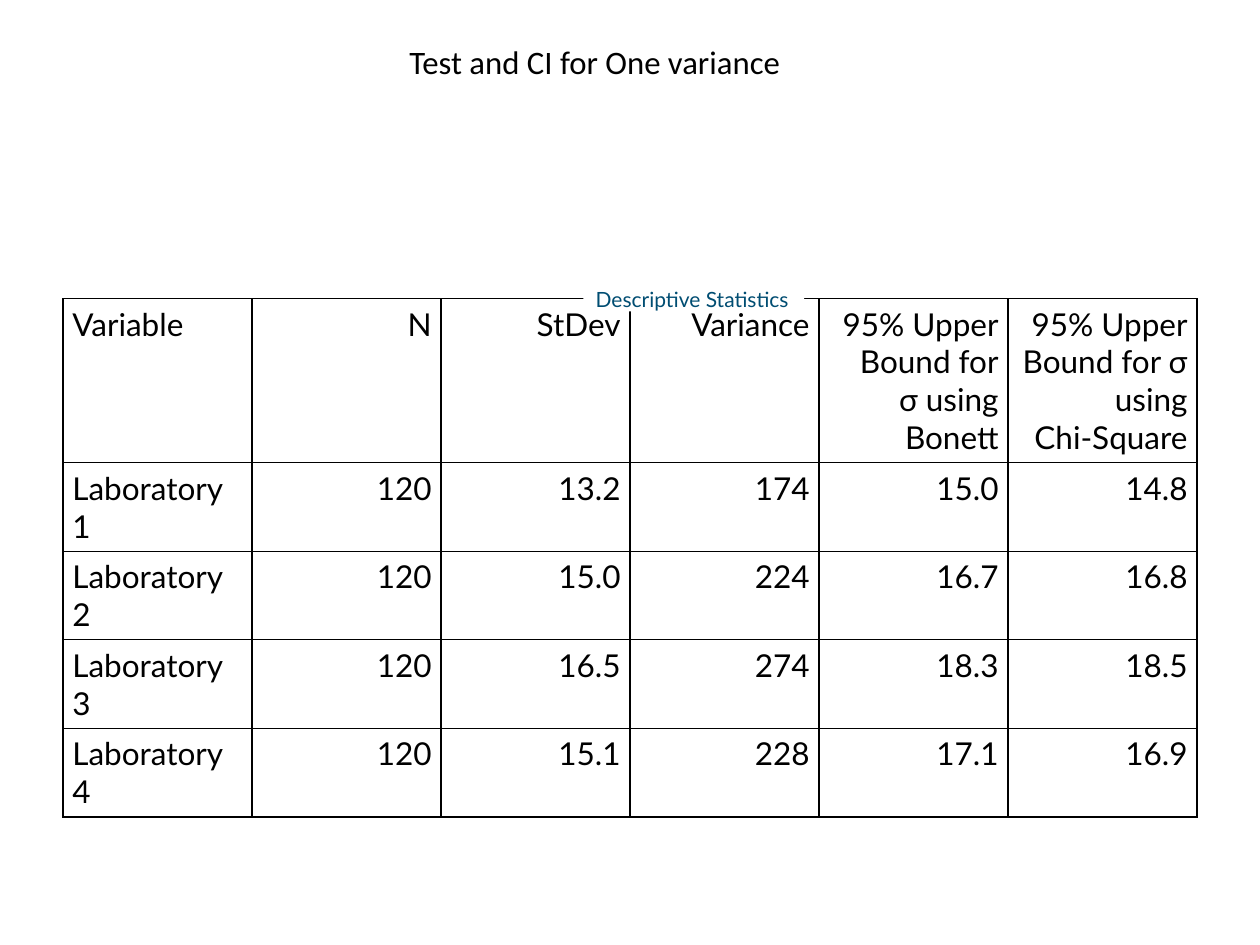
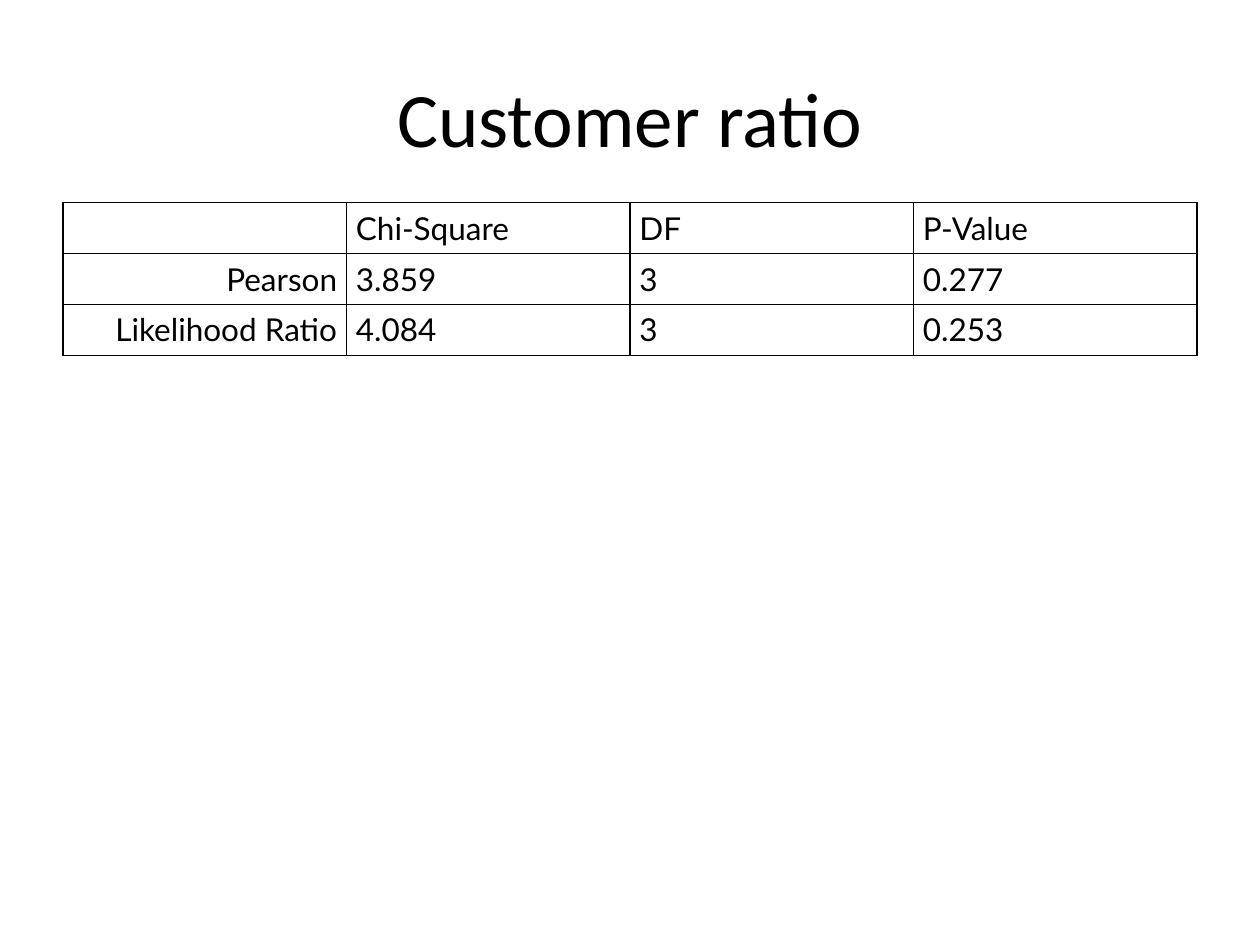
from lxml.etree import SubElement
from pptx import Presentation
from pptx.dml.color import RGBColor
from pptx.enum.text import MSO_ANCHOR, MSO_AUTO_SIZE, PP_ALIGN
from pptx.oxml.ns import qn
from pptx.util import Cm, Pt

COLORS = {"ink": "000000", "paper": "FFFFFF", "label": "004D72"}
LEFT, RIGHT, MID = PP_ALIGN.LEFT, PP_ALIGN.RIGHT, PP_ALIGN.CENTER
EDGE, WIDTH = Cm(1.27), Cm(22.86)


class Deck:
    head, body = "Calibri", "Lato"

    def __init__(self):
        self.show = Presentation()
        self.show.slide_width, self.show.slide_height = Cm(25.4), Cm(19.05)
        self.slide = None

    def color(self, name):
        return RGBColor.from_string(COLORS[name])

    def style(self, para, size, face, tone="ink", align=LEFT):
        para.alignment = align
        font = para.font
        font.size, font.name, font.bold = Pt(size), face, False
        font.color.rgb = self.color(tone)

    def page(self, title, size, width, height, space=1.0):
        self.slide = self.show.slides.add_slide(self.show.slide_layouts[5])
        box = self.slide.shapes.title
        box.left, box.top, box.width, box.height = EDGE, Cm(0.76), width, height
        frame = box.text_frame
        frame.text = title
        frame.auto_size = MSO_AUTO_SIZE.NONE
        frame.vertical_anchor = MSO_ANCHOR.MIDDLE
        para = frame.paragraphs[0]
        para.line_spacing = space
        self.style(para, size, self.head, align=MID)

    def label(self, text, left, top, width, height):
        box = self.slide.shapes.add_textbox(left, top, width, height)
        box.fill.solid()
        box.fill.fore_color.rgb = self.color("paper")
        frame = box.text_frame
        frame.text = text
        frame.word_wrap = False
        frame.margin_top = frame.margin_bottom = 0
        frame.vertical_anchor = MSO_ANCHOR.MIDDLE
        self.style(frame.paragraphs[0], 12, self.body, "label")

    def border(self, cell):
        props = cell._tc.get_or_add_tcPr()
        for side in ("a:lnL", "a:lnR", "a:lnT", "a:lnB"):
            line = SubElement(props, qn(side), w=str(Pt(0.74)))
            fill = SubElement(line, qn("a:solidFill"))
            SubElement(fill, qn("a:srgbClr"), val=COLORS["ink"])

    def table(self, rows, top, heights, align):
        count = len(rows[0])
        frame = self.slide.shapes.add_table(
            len(rows), count, EDGE, top, WIDTH, sum(heights))
        grid = frame.table
        grid.first_row = grid.horz_banding = False
        for col in grid.columns:
            col.width = WIDTH // count
        for r, row in enumerate(rows):
            grid.rows[r].height = heights[r]
            for c, text in enumerate(row):
                cell = grid.cell(r, c)
                cell.margin_left = cell.margin_right = Cm(0.19)
                cell.margin_top = cell.margin_bottom = Cm(0.13)
                self.border(cell)
                cell.fill.solid()
                cell.fill.fore_color.rgb = self.color("paper")
                cell.text_frame.text = text
                self.style(cell.text_frame.paragraphs[0], 18, self.body,
                           align=align[c])


deck = Deck()

deck.page("Test and CI for One variance", 18.7, Cm(21.44), Cm(1.04), 0.9)
labs = [
    ["Variable", "N", "StDev", "Variance",
     "95% Upper\vBound for\vσ using\vBonett",
     "95% Upper\vBound for σ\vusing\vChi-Square"],
    ["Laboratory 1", "120", "13.2", "174", "15.0", "14.8"],
    ["Laboratory 2", "120", "15.0", "224", "16.7", "16.8"],
    ["Laboratory 3", "120", "16.5", "274", "18.3", "18.5"],
    ["Laboratory 4", "120", "15.1", "228", "17.1", "16.9"],
]
deck.table(labs, Cm(6.02), [Cm(3.3)] + [Cm(1.78)] * 4, [LEFT] + [RIGHT] * 5)
deck.label("Descriptive Statistics", Cm(11.76), Cm(5.77), Cm(4.45), Cm(0.51))

deck.page("Customer ratio", 44, WIDTH, Cm(3.18))
tests = [
    ["", "Chi-Square", "DF", "P-Value"],
    ["Pearson", "3.859", "3", "0.277"],
    ["Likelihood Ratio", "4.084", "3", "0.253"],
]
deck.table(tests, Cm(4.09), [Cm(1.02)] * 3, [RIGHT] + [LEFT] * 3)

deck.show.save("out.pptx")
